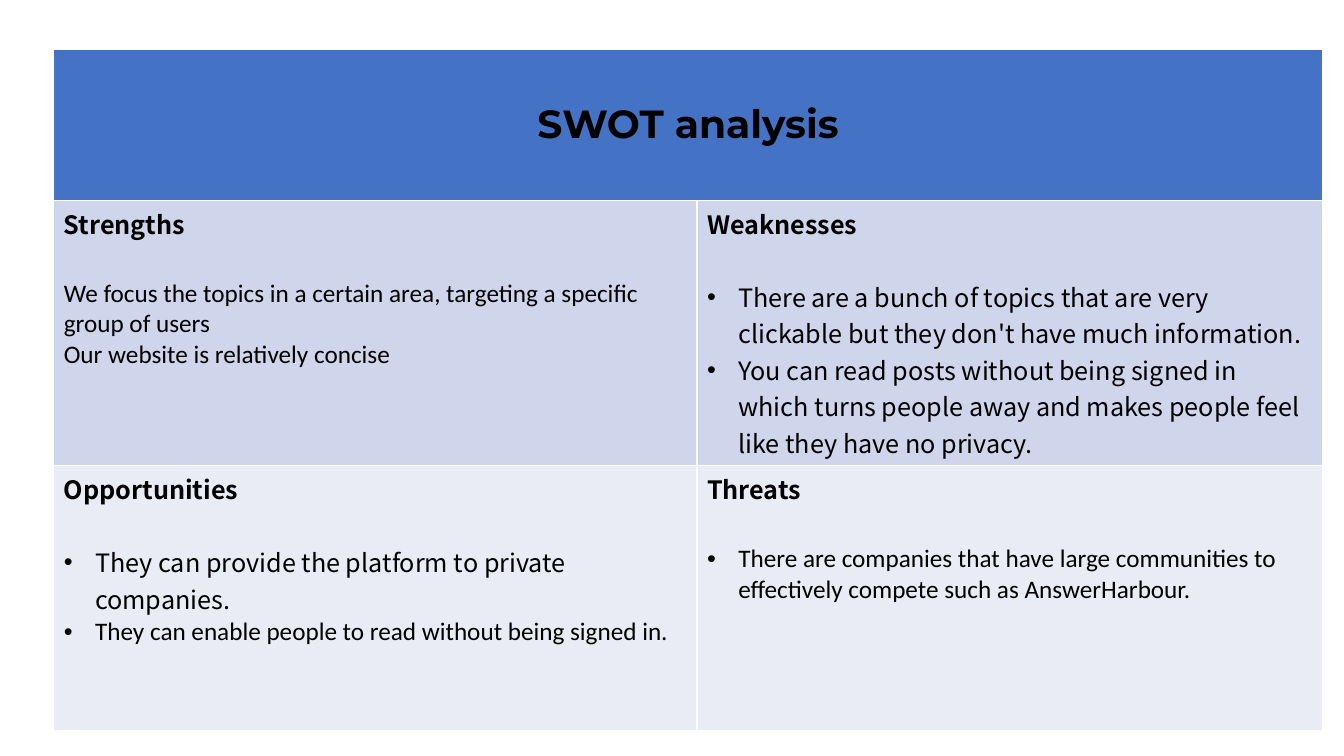
from pptx import Presentation, util as u
from pptx.dml.color import RGBColor
from pptx.enum import text
from pptx.oxml import ns
from lxml import etree

BLACK = RGBColor(0x00, 0x00, 0x00)
HEADER_BLUE = RGBColor(0x44, 0x72, 0xC4)
UPPER_BAND = RGBColor(0xCF, 0xD5, 0xEA)
LOWER_BAND = RGBColor(0xE9, 0xEB, 0xF5)
HEADING_FONT = "Noto Sans CJK SC"
PLAIN_FONT = "Calibri"

QUADRANTS = [
    (1, 0, UPPER_BAND, "Strengths", False, [
        ("We focus the topics in a certain area, targeting a specific group of users", PLAIN_FONT),
        ("Our website is relatively concise", PLAIN_FONT)]),
    (1, 1, UPPER_BAND, "Weaknesses", True, [
        ("There are a bunch of topics that are very clickable but they don't have much information.", HEADING_FONT),
        ("You can read posts without being signed in which turns people away and makes people feel like they have no privacy.", HEADING_FONT)]),
    (2, 0, LOWER_BAND, "Opportunities", True, [
        ("They can provide the platform to private companies.", HEADING_FONT),
        ("They can enable people to read without being signed in.", PLAIN_FONT)]),
    (2, 1, LOWER_BAND, "Threats", True, [
        ("There are companies that have large communities to effectively compete such as AnswerHarbour.", PLAIN_FONT)]),
]


def format_runs(paragraph, font_name, size, bold):
    for run in paragraph.runs:
        run.font.name = font_name
        run.font.size = u.Pt(size)
        run.font.bold = bold
        run.font.color.rgb = BLACK


def add_bullet(paragraph):
    properties = paragraph._p.get_or_add_pPr()
    properties.set("marL", str(u.Inches(0.31)))
    properties.set("indent", str(-u.Inches(0.31)))
    etree.SubElement(properties, ns.qn("a:buFont")).set("typeface", "Arial")
    etree.SubElement(properties, ns.qn("a:buChar")).set("char", "•")


presentation = Presentation()
presentation.slide_width = u.Inches(13.33)
presentation.slide_height = u.Inches(7.5)
slide = presentation.slides.add_slide(presentation.slide_layouts[6])

column_widths = [u.Inches(6.38), u.Inches(6.2)]
row_heights = [int(presentation.slide_height * 0.2)] + [int(presentation.slide_height * 0.35)] * 2
table = slide.shapes.add_table(
    3, 2, int(presentation.slide_width * 0.04), int(presentation.slide_height * 0.065),
    sum(column_widths), sum(row_heights)).table
for column, width in zip(table.columns, column_widths):
    column.width = width
for row, height in zip(table.rows, row_heights):
    row.height = height

header = table.cell(0, 0)
header.merge(table.cell(0, 1))
header.fill.solid()
header.fill.fore_color.rgb = HEADER_BLUE
header.vertical_anchor = text.MSO_ANCHOR.MIDDLE
header.text_frame.text = "SWOT analysis"
title = header.text_frame.paragraphs[0]
title.alignment = text.PP_ALIGN.CENTER
format_runs(title, "Montserrat", 28, True)

for row, column, band, heading, bulleted, points in QUADRANTS:
    cell = table.cell(row, column)
    cell.fill.solid()
    cell.fill.fore_color.rgb = band
    cell.text_frame.text = heading
    paragraph = cell.text_frame.paragraphs[0]
    paragraph.space_after = u.Pt(26)
    format_runs(paragraph, HEADING_FONT, 18, True)
    for wording, font_name in points:
        paragraph = cell.text_frame.add_paragraph()
        paragraph.text = wording
        format_runs(paragraph, font_name, 18, False)
        if bulleted:
            add_bullet(paragraph)

presentation.save("out.pptx")
